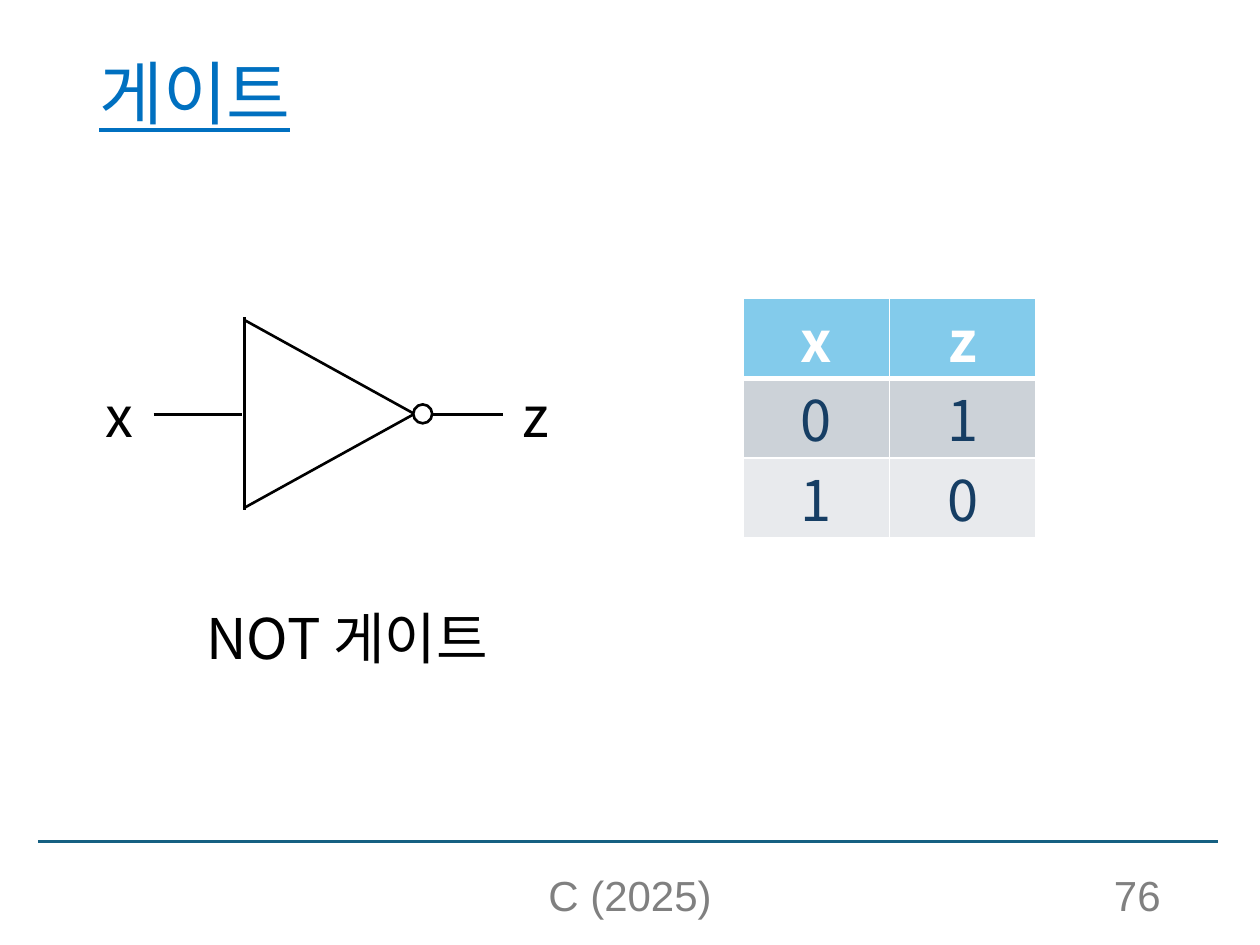
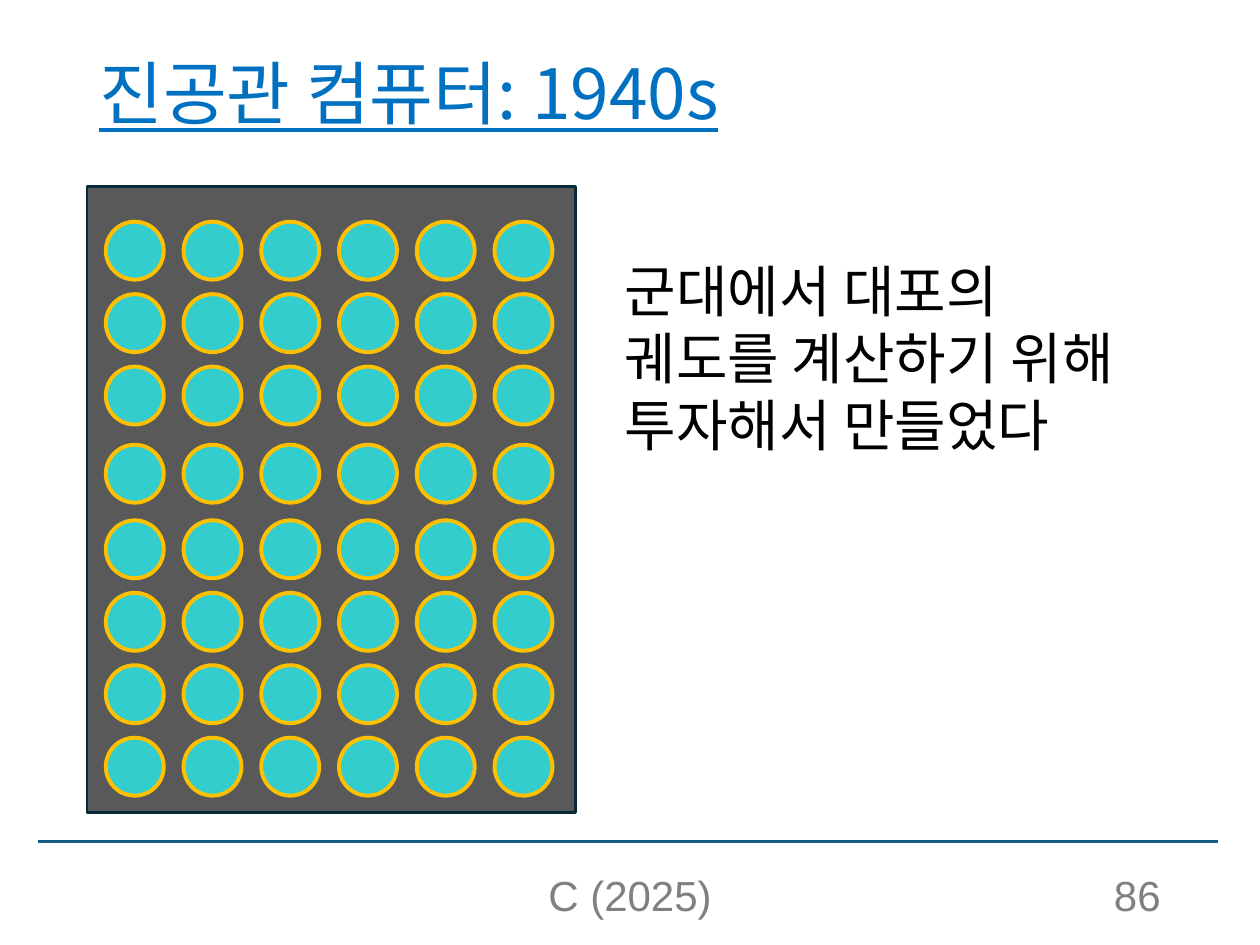
from lxml import etree
from pptx import Presentation
from pptx.dml.color import RGBColor
from pptx.enum.shapes import MSO_CONNECTOR, MSO_SHAPE
from pptx.enum.text import MSO_ANCHOR, PP_ALIGN
from pptx.oxml.ns import qn
from pptx.util import Inches, Pt

BLACK = RGBColor(0, 0, 0)
WHITE = RGBColor(0xFF, 0xFF, 0xFF)
TITLE_BLUE = RGBColor(0x00, 0x70, 0xC0)
RULE_BLUE = RGBColor(0x15, 0x60, 0x82)
FOOTER_GRAY = RGBColor(0x80, 0x80, 0x80)
HEADER_FILL = RGBColor(0x83, 0xCB, 0xEB)
ROW_FILLS = [RGBColor(0xCC, 0xD2, 0xD8), RGBColor(0xE8, 0xEA, 0xED)]
CELL_TEXT = RGBColor(0x16, 0x3E, 0x64)
CABINET_FILL = RGBColor(0x59, 0x59, 0x59)
CABINET_LINE = RGBColor(0x09, 0x2A, 0x39)
TUBE_FILL = RGBColor(0x25, 0xFF, 0xFF)
TUBE_LINE = RGBColor(0xFF, 0xC0, 0x00)

KOREAN = "Noto Sans CJK KR"
LATIN = "Arial"
BODY_SIZE = 32
BODY_SPACING = Pt(38.3)


def format_paragraph(p, size, color, font=KOREAN, align=PP_ALIGN.LEFT,
                     spacing=None, bold=False, underline=False):
    p.alignment = align
    p.line_spacing = spacing
    for r in p.runs:
        r.font.size = Pt(size)
        r.font.name = font
        r.font.bold = bold
        r.font.underline = underline
        r.font.color.rgb = color
        ea = etree.SubElement(r._r.get_or_add_rPr(), qn("a:ea"))
        ea.set("typeface", font)


def add_text(s, text, box, size, color, anchor=MSO_ANCHOR.TOP, wrap=True, **style):
    sp = s.shapes.add_textbox(*map(Inches, box))
    tf = sp.text_frame
    tf.text = text
    tf.word_wrap = wrap
    tf.vertical_anchor = anchor
    format_paragraph(tf.paragraphs[0], size, color, **style)
    return sp


def add_body(s, text, box, wrap=False):
    sp = add_text(s, text, box, BODY_SIZE, BLACK, wrap=wrap, spacing=BODY_SPACING)
    sp.text_frame.margin_top = Inches(0.09)


def add_line(shapes, start, end, color=BLACK):
    line = shapes.add_connector(MSO_CONNECTOR.STRAIGHT,
                                *map(Inches, (*start, *end)))
    line.line.color.rgb = color
    line.line.width = Pt(1.5)
    etree.SubElement(line._element.spPr, qn("a:effectLst"))


def add_preset(shapes, kind, box, fill, line, width=1.5, alpha=None):
    sp = shapes.add_shape(kind, *map(Inches, box))
    sp.shadow.inherit = False
    sp.fill.solid()
    sp.fill.fore_color.rgb = fill
    sp.line.color.rgb = line
    sp.line.width = Pt(width)
    if alpha is not None:
        color = sp._element.spPr.find(f"{qn('a:solidFill')}/{qn('a:srgbClr')}")
        etree.SubElement(color, qn("a:alpha")).set("val", str(alpha * 1000))


def set_cell_borders(cell, **widths):
    tc_pr = cell._tc.get_or_add_tcPr()
    for side in "LRTB":
        ln = etree.SubElement(tc_pr, qn(f"a:ln{side}"))
        ln.set("w", str(Pt(widths.get(side, 1))))
        fill = etree.SubElement(ln, qn("a:solidFill"))
        etree.SubElement(fill, qn("a:srgbClr")).set("val", str(WHITE))


def add_truth_table(s, rows, left, top, col_width, row_height):
    columns = len(rows[0])
    table = s.shapes.add_table(len(rows), columns, Inches(left), Inches(top),
                               Inches(col_width * columns),
                               Inches(row_height * len(rows))).table
    for i, values in enumerate(rows):
        header = i == 0
        table.rows[i].height = Inches(row_height)
        for j, value in enumerate(values):
            cell = table.cell(i, j)
            cell.text = value
            cell.margin_top, cell.margin_bottom = Inches(0.1), 0
            set_cell_borders(cell, T=3 if i == 1 else 1, B=3 if header else 1)
            cell.fill.solid()
            cell.fill.fore_color.rgb = HEADER_FILL if header else ROW_FILLS[(i - 1) % 2]
            format_paragraph(cell.text_frame.paragraphs[0], BODY_SIZE,
                             WHITE if header else CELL_TEXT, bold=header,
                             align=PP_ALIGN.CENTER, spacing=BODY_SPACING)


def add_base_slide(prs, title, number):
    s = prs.slides.add_slide(prs.slide_layouts[6])
    add_line(s.shapes, (0.3, 6.68), (9.67, 6.68), RULE_BLUE)
    add_text(s, title, (0.69, 0.4, 9.31, 0.74), 39.6, TITLE_BLUE,
             anchor=MSO_ANCHOR.MIDDLE, spacing=0.9, underline=True)
    for text, left, width, align in (("C (2025)", 3.31, 3.38, PP_ALIGN.CENTER),
                                     (number, 7.06, 2.25, PP_ALIGN.RIGHT)):
        add_text(s, text, (left, 6.95, width, 0.4), 24, FOOTER_GRAY,
                 anchor=MSO_ANCHOR.BOTTOM, font=LATIN, align=align)
    return s


def add_not_gate(s):
    add_line(s.shapes, (1.22, 3.29), (1.92, 3.29))
    add_line(s.shapes, (3.43, 3.29), (3.99, 3.29))
    gate = s.shapes.add_group_shape().shapes
    add_line(gate, (1.94, 2.52), (1.94, 4.05))
    add_line(gate, (1.94, 2.54), (3.28, 3.28))
    add_line(gate, (1.94, 4.03), (3.28, 3.29))
    add_preset(gate, MSO_SHAPE.OVAL, (3.28, 3.21, 0.15, 0.15), WHITE, BLACK)
    add_body(s, "x", (0.74, 2.94, 0.41, 0.64))
    add_body(s, "z", (4.05, 2.94, 0.41, 0.64))
    add_body(s, "NOT 게이트", (1.54, 4.7, 2.62, 0.64))


def add_tube_cabinet(s):
    add_preset(s.shapes, MSO_SHAPE.RECTANGLE, (0.69, 1.48, 3.88, 4.97),
               CABINET_FILL, CABINET_LINE)
    banks = ((1.76, 3), (3.53, 1), (4.13, 4))
    tops = [top + 0.575 * i for top, count in banks for i in range(count)]
    for top in tops:
        for column in range(6):
            add_preset(s.shapes, MSO_SHAPE.OVAL,
                       (0.84 + 0.617 * column, top, 0.46, 0.46),
                       TUBE_FILL, TUBE_LINE, width=2.25, alpha=70)


def main():
    prs = Presentation()
    prs.slide_width, prs.slide_height = Inches(10), Inches(7.5)

    s = add_base_slide(prs, "게이트", "76")
    add_not_gate(s)
    add_truth_table(s, ["xz", "01", "10"], 5.9, 2.37, 1.16, 0.63)

    s = add_base_slide(prs, "진공관 컴퓨터: 1940s", "86")
    add_tube_cabinet(s)
    add_body(s, "군대에서 대포의 궤도를 계산하기 위해 투자해서 만들었다",
             (4.86, 1.95, 4.45, 2.26), wrap=True)

    prs.save("out.pptx")


if __name__ == "__main__":
    main()
